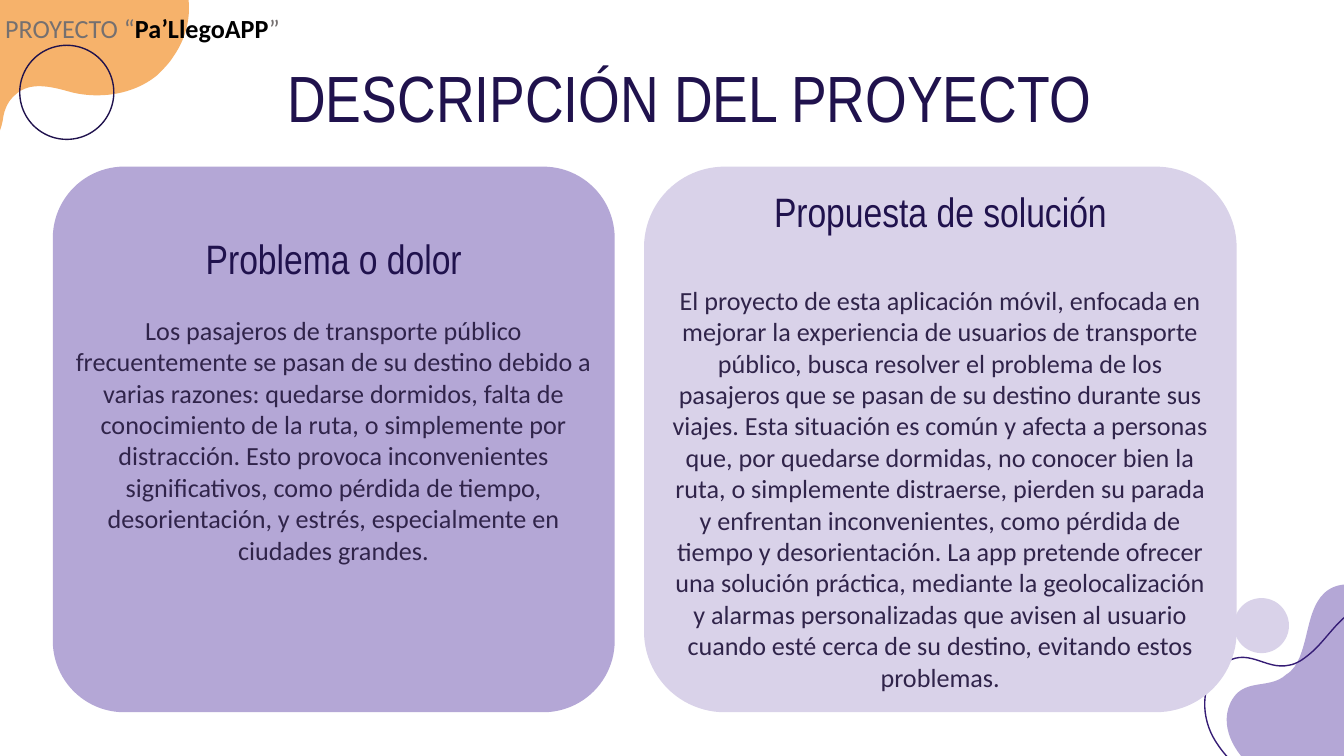
"""Build the project description slide: two rounded cards with curved corner decorations."""
from math import cos, radians, sin

from lxml.etree import SubElement
from pptx import Presentation
from pptx.dml.color import RGBColor
from pptx.enum.shapes import MSO_SHAPE
from pptx.enum.text import MSO_ANCHOR, PP_ALIGN
from pptx.oxml.ns import qn
from pptx.util import Pt

THEME = {
    "lilac": "B4A7D6", "pale": "D9D2E9", "orange": "F6B26B", "violet": "351C75",
    "navy": "20124D", "ink": "30244A", "grey": "757070", "black": "000000",
    "display": "Arial Narrow", "text": "Calibri",
    "title": 35, "heading": 22, "body": 14, "line": 0.75,
}

TITLE = "DESCRIPCIÓN DEL PROYECTO"
LABEL = [("PROYECTO “", "grey", False), ("Pa’LlegoAPP", "black", True), ("”", "grey", False)]

CARD_TOP, CARD_HEIGHT = 89.3, 292.3
CARDS = [
    {"left": 28.3, "width": 301, "corner": 0.131, "fill": "lilac", "gap": 17, "bottom": 50.2,
     "heading": "Problema o dolor",
     "body": "Los pasajeros de transporte público frecuentemente se pasan de su destino debido a "
             "varias razones: quedarse dormidos, falta de conocimiento de la ruta, o simplemente "
             "por distracción. Esto provoca inconvenientes significativos, como pérdida de tiempo, "
             "desorientación, y estrés, especialmente en ciudades grandes."},
    {"left": 345, "width": 317.5, "corner": 0.148, "fill": "pale", "gap": 26, "bottom": 7.2,
     "heading": "Propuesta de solución",
     "body": "El proyecto de esta aplicación móvil, enfocada en mejorar la experiencia de usuarios "
             "de transporte público, busca resolver el problema de los pasajeros que se pasan de su "
             "destino durante sus viajes. Esta situación es común y afecta a personas que, por "
             "quedarse dormidas, no conocer bien la ruta, o simplemente distraerse, pierden su "
             "parada y enfrentan inconvenientes, como pérdida de tiempo y desorientación. La app "
             "pretende ofrecer una solución práctica, mediante la geolocalización y alarmas "
             "personalizadas que avisen al usuario cuando esté cerca de su destino, evitando estos "
             "problemas."},
]

LILAC_BLOB = {"frame": (644.4, 324, 127.4, 80.6), "angle": 113.1, "points": [
    (745.2, 380.2), (758.2, 350.6), (755.3, 315.4), (727.2, 313.2),
    (713.5, 311.8), (707.8, 317.5), (704.2, 325.4),
    (700.6, 333.4), (699.8, 343.4), (696.2, 352.1),
    (694.8, 355.7), (692.6, 359.3), (689, 361.4),
    (679.7, 370.1), (665.3, 362.2), (658.8, 377.3),
    (653, 391), (663.1, 406.1), (673.9, 413.3),
    (706.3, 432.7), (733, 409.7), (745.2, 380.2),
]}
VIOLET_OUTLINE = {"frame": (640.1, 326.2, 133.2, 85), "angle": 140.6, "points": [
    (733.7, 401), (759.6, 380.2), (774, 345.6), (748.8, 329.8),
    (737.3, 321.8), (728.6, 324), (721.4, 329.8),
    (714.2, 335.5), (708.5, 344.9), (701.3, 350.6),
    (697.7, 353.5), (694.8, 355.7), (690.5, 356.4),
    (677.5, 359.3), (668.2, 345.6), (654.5, 356.4),
    (642.2, 366.5), (643.7, 385.2), (650.9, 396.7),
    (671.8, 430.6), (707.8, 421.9), (733.7, 401),
]}
ORANGE_BLOB = {"frame": (-60.5, -16.6, 174.2, 90.7), "angle": 140.5, "points": [
    (84.2, 40.3), (87.1, 37.4), (90.7, 33.8), (92.9, 30.2),
    (109.4, 6.5), (98.6, -20.2), (84.2, -33.1),
    (74.2, -42.5), (61.2, -46.8), (48.2, -46.8),
    (48.2, -46.8), (-48.2, 32.4), (-48.2, 32.4),
    (-48.2, 32.4), (-61.9, 59), (-46.1, 77),
    (-34.6, 90), (-18.7, 90), (-7.9, 81.4),
    (-3.6, 77.8), (0, 72), (1.4, 64.8),
    (2.2, 57.6), (5, 53.3), (8.6, 50.4),
    (15.8, 43.9), (26.6, 46.1), (36.7, 49),
    (49, 52.6), (69.1, 52.6), (84.2, 40.3),
]}


def color(name):
    return RGBColor.from_string(THEME[name])


def apply(target, values):
    for name, value in values.items():
        setattr(target, name, value)


def paint(shape, fill=None, line=None):
    shape.shadow.inherit = False
    if fill:
        shape.fill.solid()
        shape.fill.fore_color.rgb = color(fill)
    else:
        shape.fill.background()
    if line:
        shape.line.color.rgb = color(line)
        shape.line.width = Pt(THEME["line"])
    else:
        shape.line.fill.background()


def add_shape(page, kind, left, top, width, height, **look):
    shape = page.shapes.add_shape(kind, Pt(left), Pt(top), Pt(width), Pt(height))
    paint(shape, **look)
    return shape


def turn_back(point, frame, angle):
    left, top, width, height = frame
    across, down = point[0] - left - width / 2, point[1] - top - height / 2
    turn = radians(angle)
    return (Pt(across * cos(turn) + down * sin(turn) + width / 2),
            Pt(down * cos(turn) - across * sin(turn) + height / 2))


def add_curve(page, curve, **look):
    frame, angle = curve["frame"], curve["angle"]
    left, top, width, height = (Pt(value) for value in frame)
    points = [turn_back(point, frame, angle) for point in curve["points"]]
    builder = page.shapes.build_freeform(0, 0)
    builder.add_line_segments([(width, height)], close=False)
    shape = builder.convert_to_shape()
    apply(shape, {"left": left, "top": top, "width": width, "height": height, "rotation": angle})
    outline = next(shape._element.iter(qn("a:path")))
    for child in list(outline):
        outline.remove(child)
    outline.set("w", str(width))
    outline.set("h", str(height))
    pieces = [("a:moveTo", points[:1])]
    pieces += [("a:cubicBezTo", points[i:i + 3]) for i in range(1, len(points), 3)]
    for tag, stops in pieces + [("a:close", [])]:
        piece = SubElement(outline, qn(tag))
        for x, y in stops:
            SubElement(piece, qn("a:pt"), x=str(x), y=str(y))
    paint(shape, **look)


def add_span(para, text, face, size, ink, bold=False):
    span = para.add_run()
    span.text = text
    apply(span.font, {"name": THEME[face], "size": Pt(THEME[size]), "bold": bold})
    span.font.color.rgb = color(ink)


def add_box(page, left, top, width, height):
    box = page.shapes.add_textbox(Pt(left), Pt(top), Pt(width), Pt(height))
    box.text_frame.word_wrap = True
    return box.text_frame


def add_card(page, card):
    shape = add_shape(page, MSO_SHAPE.ROUNDED_RECTANGLE, card["left"], CARD_TOP,
                      card["width"], CARD_HEIGHT, fill=card["fill"])
    shape.adjustments[0] = card["corner"]
    frame = shape.text_frame
    apply(frame, {"word_wrap": True, "vertical_anchor": MSO_ANCHOR.MIDDLE,
                  "margin_left": 0, "margin_right": 0,
                  "margin_top": Pt(7.2), "margin_bottom": Pt(card["bottom"])})
    heading, body = frame.paragraphs[0], frame.add_paragraph()
    apply(heading, {"alignment": PP_ALIGN.CENTER, "space_after": Pt(card["gap"])})
    body.alignment = PP_ALIGN.CENTER
    add_span(heading, card["heading"], "display", "heading", "navy")
    add_span(body, card["body"], "text", "body", "ink")


def main():
    deck = Presentation()
    apply(deck, {"slide_width": Pt(720), "slide_height": Pt(405)})
    page = deck.slides.add_slide(deck.slide_layouts[6])

    add_curve(page, LILAC_BLOB, fill="lilac")
    add_shape(page, MSO_SHAPE.OVAL, 661, 320.4, 29.5, 29.5, fill="pale")
    add_curve(page, VIOLET_OUTLINE, line="violet")
    add_curve(page, ORANGE_BLOB, fill="orange")
    add_shape(page, MSO_SHAPE.OVAL, 10.6, 24.3, 50.4, 50.4, line="navy")

    title = add_box(page, 122.2, 23.4, 494.6, 41)
    apply(title, {"margin_top": Pt(7.2), "margin_bottom": Pt(7.2)})
    title.paragraphs[0].alignment = PP_ALIGN.CENTER
    add_span(title.paragraphs[0], TITLE, "display", "title", "navy")

    for card in CARDS:
        add_card(page, card)

    label = add_box(page, -4.3, 2.9, 408.2, 61.2)
    for text, ink, bold in LABEL:
        add_span(label.paragraphs[0], text, "text", "body", ink, bold)

    deck.save("out.pptx")


if __name__ == "__main__":
    main()
